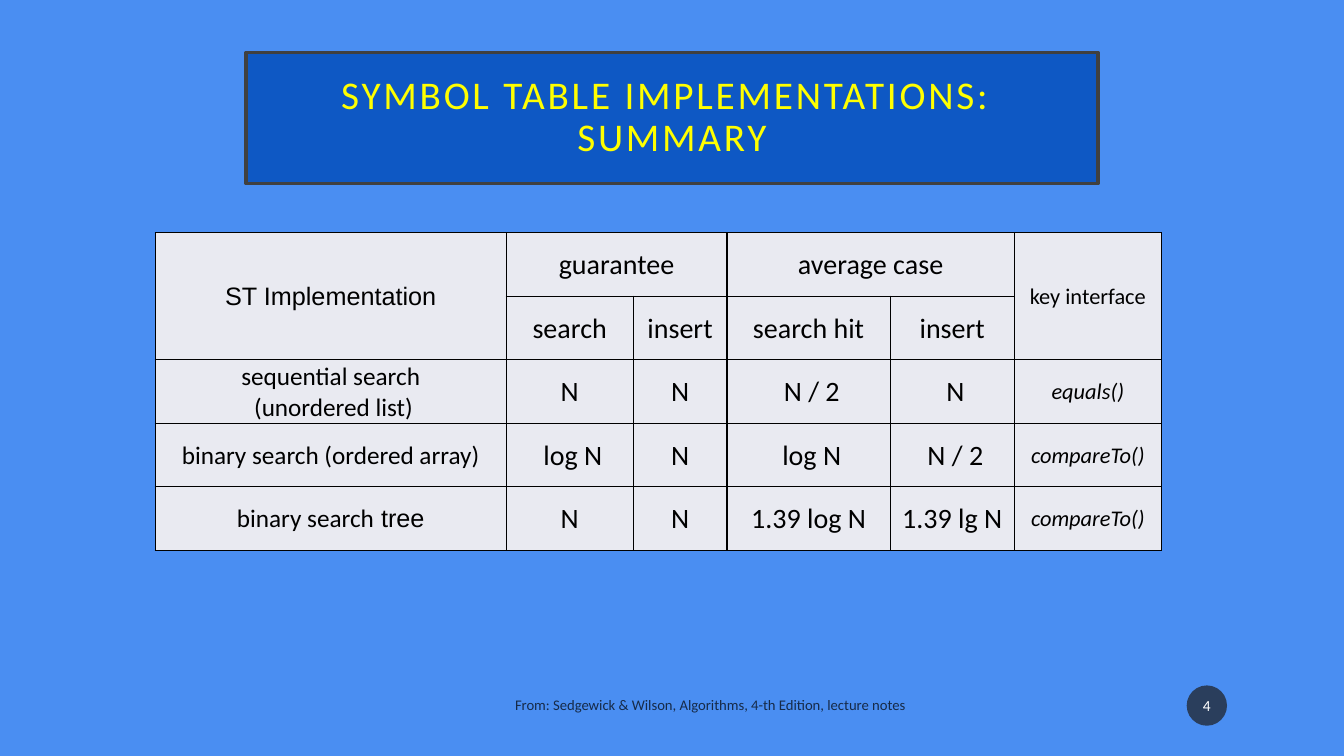
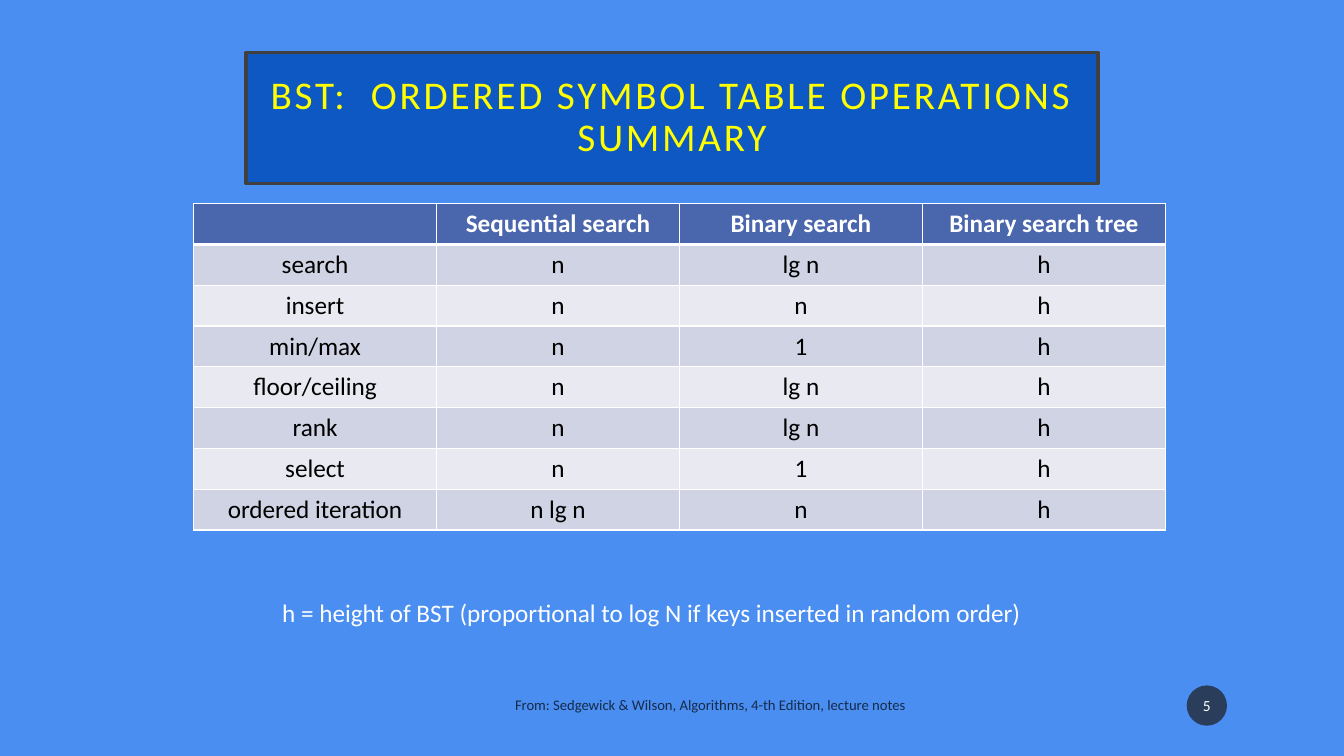
from dataclasses import dataclass
from typing import Optional

from lxml import etree
from pptx import Presentation
from pptx.dml.color import RGBColor
from pptx.enum.shapes import MSO_SHAPE as Preset
from pptx.enum.text import MSO_ANCHOR as Anchor, PP_ALIGN as Align
from pptx.oxml.ns import qn
from pptx.util import Inches, Pt

COLORS = {
    "background": "4A8EF2",
    "title_fill": "0E58C4",
    "title_line": "404040",
    "title_text": "FFFF00",
    "badge": "1D1D1D",
    "header": "4A66AC",
    "band": "D0D3E3",
    "light": "E9EAF1",
    "black": "000000",
    "white": "FFFFFF",
}
FOOTER = "From: Sedgewick & Wilson, Algorithms, 4-th Edition, lecture notes"


@dataclass(frozen=True)
class Box:
    left: float
    top: float
    width: float
    height: float

    def lengths(self) -> tuple:
        return tuple(Inches(v) for v in (self.left, self.top, self.width, self.height))


@dataclass(frozen=True)
class CellStyle:
    fill: str
    color: str = "black"
    size: float = 18
    font: str = "Calibri"
    bold: bool = False
    italic: bool = False
    border: str = "white"
    top: float = 1
    bottom: float = 1
    anchor: Anchor = Anchor.TOP
    margins: Optional[tuple] = None


TITLE_BOX = Box(2.44, 0.52, 8.45, 1.3)
FOOTER_BOX = Box(5.01, 6.82, 4.44, 0.35)
BADGE_BOX = Box(11.77, 6.8, 0.4, 0.4)


# Text and colour helpers
def rgb(name: str) -> RGBColor:
    return RGBColor.from_string(COLORS[name])


def set_opacity(element, percent: int) -> None:
    for color in element.iter(qn("a:srgbClr")):
        etree.SubElement(color, qn("a:alpha")).set("val", str(percent * 1000))


def set_margins(target, margins: tuple) -> None:
    (target.margin_left, target.margin_top,
     target.margin_right, target.margin_bottom) = map(Inches, margins)


def write(frame, text: str, *, size: float = 18, font: str = "Calibri",
          color: str = "black", bold: bool = False, italic: bool = False,
          align: Align = Align.CENTER, line_spacing: Optional[float] = None,
          tracking: float = 0, opacity: int = 100) -> None:
    """Continue the last paragraph of a frame; line feeds start new ones."""
    for index, line in enumerate(text.split("\n")):
        paragraph = frame.add_paragraph() if index else frame.paragraphs[-1]
        paragraph.alignment = align
        if line_spacing:
            paragraph.line_spacing = line_spacing
        run = paragraph.add_run()
        run.text = line
        run.font.size, run.font.name = Pt(size), font
        run.font.bold, run.font.italic = bold, italic
        run.font.color.rgb = rgb(color)
        if tracking:
            run.font._element.set("spc", str(int(tracking * 100)))
        if opacity < 100:
            set_opacity(run.font._element, opacity)


def add_text_box(slide, box: Box, text: str, *, anchor: Anchor = Anchor.TOP, **style) -> None:
    frame = slide.shapes.add_textbox(*box.lengths()).text_frame
    frame.word_wrap = True
    frame.vertical_anchor = anchor
    write(frame, text, align=Align.LEFT, **style)


def add_panel(slide, preset: Preset, box: Box, fill: str, margins: tuple):
    shape = slide.shapes.add_shape(preset, *box.lengths())
    shape.shadow.inherit = False
    shape.fill.solid()
    shape.fill.fore_color.rgb = rgb(fill)
    shape.line.fill.background()
    shape.text_frame.word_wrap = True
    shape.text_frame.vertical_anchor = Anchor.MIDDLE
    set_margins(shape.text_frame, margins)
    return shape


# Shared slide frame
def add_slide(presentation, title: str, number: int):
    slide = presentation.slides.add_slide(presentation.slide_layouts[6])
    slide.background.fill.solid()
    slide.background.fill.fore_color.rgb = rgb("background")

    banner = add_panel(slide, Preset.RECTANGLE, TITLE_BOX, "title_fill", (0.2,) * 4)
    banner.line.color.rgb = rgb("title_line")
    banner.line.width = Pt(2.5)
    write(banner.text_frame, title, size=28, color="title_text",
          line_spacing=0.9, tracking=2)

    add_text_box(slide, FOOTER_BOX, FOOTER, anchor=Anchor.MIDDLE, size=10.5, opacity=70)

    badge = add_panel(slide, Preset.OVAL, BADGE_BOX, "badge", (0.02, 0.05, 0.02, 0.05))
    set_opacity(badge._element.spPr, 70)
    write(badge.text_frame, str(number), size=11, color="white")
    return slide


# Tables
def add_table(slide, left: float, top: float, widths: list, row_height: float, row_count: int):
    box = Box(left, top, sum(widths), row_height * row_count)
    table = slide.shapes.add_table(row_count, len(widths), *box.lengths()).table
    table.first_row = table.horz_banding = False
    for column, width in zip(table.columns, widths):
        column.width = Inches(width)
    for row in table.rows:
        row.height = Inches(row_height)
    return table


def fill_cell(cell, text: str, style: CellStyle) -> None:
    properties = cell._tc.get_or_add_tcPr()
    for side, points in (("L", 1), ("R", 1), ("T", style.top), ("B", style.bottom)):
        line = etree.SubElement(properties, qn(f"a:ln{side}"))
        line.set("w", str(Pt(points)))
        solid = etree.SubElement(line, qn("a:solidFill"))
        etree.SubElement(solid, qn("a:srgbClr")).set("val", COLORS[style.border])
    cell.fill.solid()
    cell.fill.fore_color.rgb = rgb(style.fill)
    cell.vertical_anchor = style.anchor
    if style.margins:
        set_margins(cell, style.margins)
    if text:
        write(cell.text_frame, text, size=style.size, font=style.font,
              color=style.color, bold=style.bold, italic=style.italic)


def add_cost_table(slide) -> None:
    rows = [
        ["ST Implementation", "guarantee", "", "average case", "", "key interface"],
        ["", "search", "insert", "search hit", "insert", ""],
        ["sequential search\n (unordered list)", "N", "N", "\u00a0N / 2", "\u00a0N", "equals()"],
        ["binary search (ordered array)", "\u00a0log N", "N", "\u00a0log N", "\u00a0N / 2",
         "compareTo()"],
        ["binary search", "N", "N", "1.39 log N", "1.39 lg N", "compareTo()"],
    ]
    sizes = [18, 20, 20, 20, 20, 16]
    table = add_table(slide, 1.54, 2.31, [3.48, 1.26, 0.93, 1.62, 1.23, 1.46], 0.63, len(rows))
    for row, texts in enumerate(rows):
        for column, text in enumerate(texts):
            style = CellStyle(
                "light", size=sizes[column], border="black",
                font="Arial" if row == column == 0 else "Calibri",
                italic=row > 1 and column == len(texts) - 1,
                anchor=Anchor.MIDDLE, margins=(0.01, 0.01, 0.01, 0))
            fill_cell(table.cell(row, column), text, style)
    write(table.cell(4, 0).text_frame, " tree", font="Arial")
    # Headings that span rows or columns
    for first, last in [((0, 0), (1, 0)), ((0, 1), (0, 2)), ((0, 3), (0, 4)), ((0, 5), (1, 5))]:
        table.cell(*first).merge(table.cell(*last))


def add_operations_table(slide) -> None:
    rows = [
        ["", "Sequential search", "Binary search", "Binary search tree"],
        ["search", "n", "lg n", "h"],
        ["insert", "n", "n", "h"],
        ["min/max", "n", "1", "h"],
        ["floor/ceiling", "n", "lg n", "h"],
        ["rank", "n", "lg n", "h"],
        ["select", "n", "1", "h"],
        ["ordered iteration", "n lg n", "n", "h"],
    ]
    header = CellStyle("header", color="white", bold=True, bottom=3)
    table = add_table(slide, 1.92, 2.02, [2.41] * 4, 0.405, len(rows))
    for row, texts in enumerate(rows):
        body = CellStyle("band" if row % 2 else "light", top=3 if row == 1 else 1)
        for column, text in enumerate(texts):
            fill_cell(table.cell(row, column), text, body if row else header)


def main() -> None:
    presentation = Presentation()
    presentation.slide_width, presentation.slide_height = Inches(13.33), Inches(7.5)

    # Implementation costs
    slide = add_slide(presentation, "SYMBOL TABLE IMPLEMENTATIONS:\u00a0 SUMMARY", 4)
    add_cost_table(slide)

    # Ordered operations
    slide = add_slide(presentation, "BST:\u00a0 ORDERED SYMBOL TABLE OPERATIONS SUMMARY", 5)
    add_operations_table(slide)
    add_text_box(slide, Box(2.7, 5.88, 7.62, 0.71),
                 "h = height of BST (proportional to log N if keys inserted in random order)",
                 color="white")

    presentation.save("out.pptx")


main()
